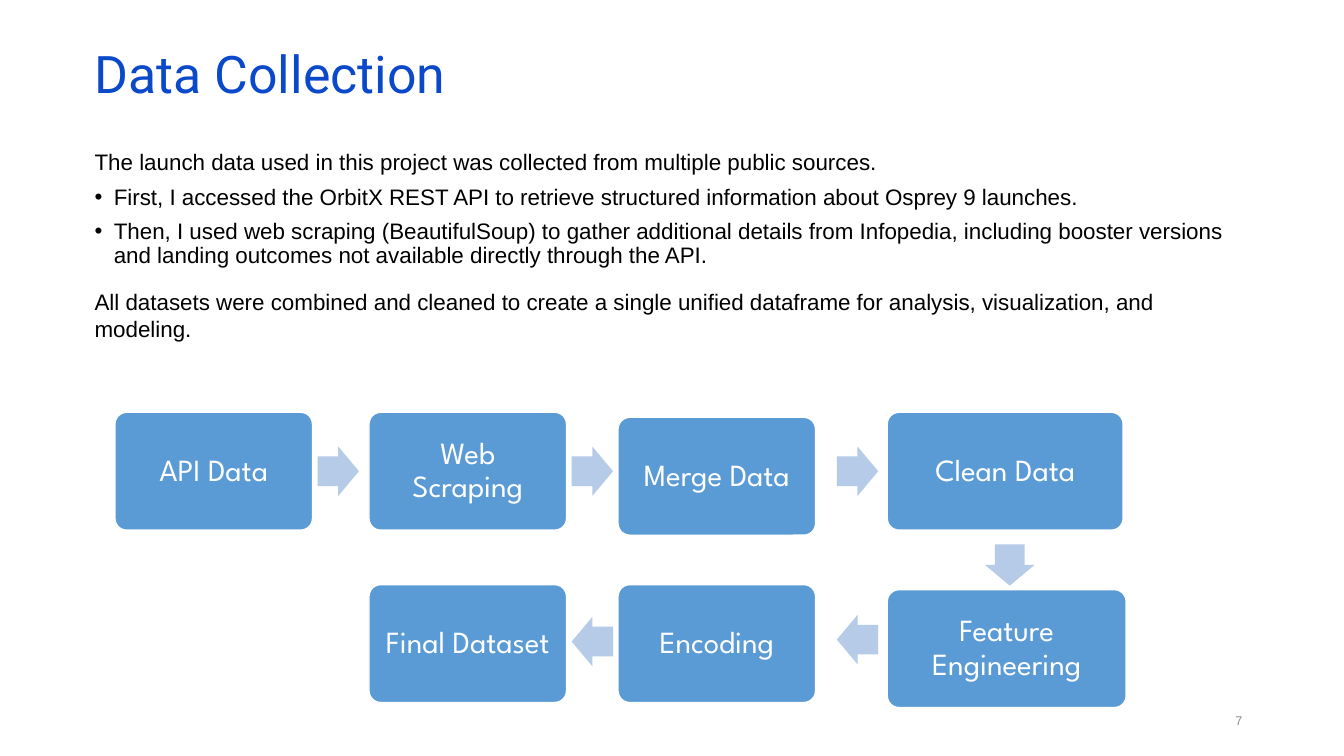
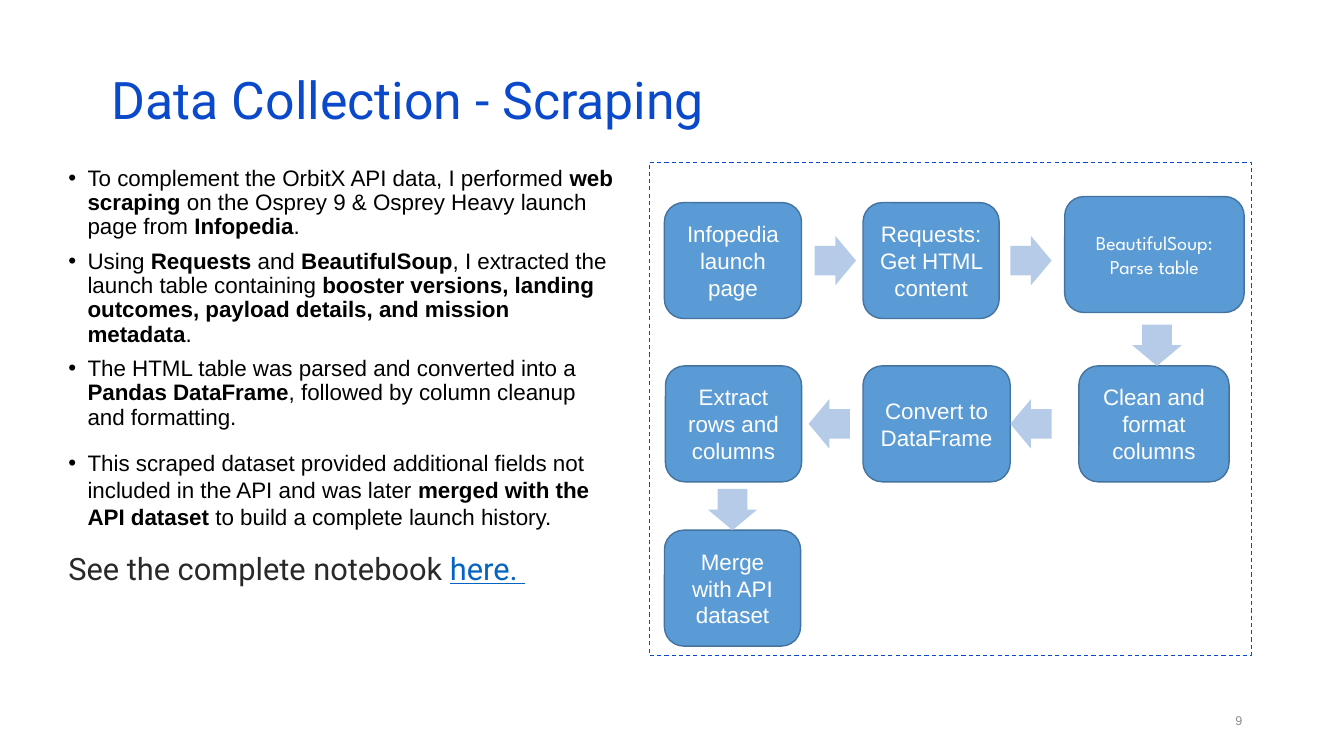
from dataclasses import dataclass
from typing import Any

from lxml.etree import SubElement
from pptx import Presentation
from pptx.dml.color import RGBColor
from pptx.enum.dml import MSO_LINE_DASH_STYLE as Dash
from pptx.enum.shapes import MSO_SHAPE as Shape
from pptx.enum.text import MSO_ANCHOR as Anchor, MSO_AUTO_SIZE as AutoSize, PP_ALIGN as Align
from pptx.oxml.ns import qn
from pptx.util import Inches, Pt

COLORS = {
    "title": "0B49CB",
    "body": "000000",
    "note": "292929",
    "link": "0563C1",
    "number": "8C8C8C",
    "box": "5B9BD5",
    "box_edge": "43739E",
    "arrow": "B5CBE7",
    "white": "FFFFFF",
}
RIGHT, DOWN, LEFT = 0, 90, 180
ARROW_WIDTH, ARROW_HEIGHT = 0.41, 0.49
BULLET_INDENT = 0.19


@dataclass(frozen=True)
class TextStyle:
    font: str
    size: float
    color: str


TITLE = TextStyle("Roboto", 37, "title")
BODY = TextStyle("Arial", 16, "body")
NOTE = TextStyle("Roboto", 22, "note")
LINK = TextStyle("Roboto", 22, "link")
NUMBER = TextStyle("Arial", 9, "number")
STEP = TextStyle("League Spartan", 22, "white")
SMALL_STEP = TextStyle("Arial", 16, "white")
LIBRARY_STEP = TextStyle("League Spartan", 14, "white")


@dataclass(frozen=True)
class BodyParagraph:
    """Body text in which ** switches bold on and off."""
    text: str
    bullet: bool = True
    line_spacing: float = 0.9
    space_before: float = 7.5
    style: TextStyle = BODY
    link: str = ""


@dataclass(frozen=True)
class Box:
    text: str
    left: float
    top: float
    width: float
    inset: float = 0.09
    style: TextStyle | None = None


@dataclass(frozen=True)
class Arrow:
    left: float
    top: float
    direction: int = RIGHT


@dataclass(frozen=True)
class BoxStyle:
    geometry: Any
    height: float
    edge: str
    text: TextStyle
    line_spacing: float
    corner: float | None = None


PIPELINE = BoxStyle(Shape.ROUNDED_RECTANGLE, 1.17, "white", STEP, 0.9, 0.1)
SCRAPING = BoxStyle(Shape.FLOWCHART_ALTERNATE_PROCESS, 1.15, "box_edge", SMALL_STEP, 1.0)


@dataclass(frozen=True)
class Page:
    number: int
    title: str
    title_at: tuple[float, float]
    body_at: tuple[float, float, float, float]
    body: list[BodyParagraph]
    box_style: BoxStyle
    boxes: list[Box]
    arrows: list[Arrow]
    frame: tuple[float, float, float, float] | None = None


PAGES = [
    Page(
        7, "Data Collection", (0.84, 0.5), (0.84, 1.45, 11.5, 2.4),
        [
            BodyParagraph("The launch data used in this project was collected from "
                          "multiple public sources.", bullet=False),
            BodyParagraph("First, I accessed the OrbitX REST API to retrieve structured "
                          "information about Osprey 9 launches."),
            BodyParagraph("Then, I used web scraping (BeautifulSoup) to gather additional "
                          "details from Infopedia, including booster versions and landing "
                          "outcomes not available directly through the API."),
            BodyParagraph("All datasets were combined and cleaned to create a single unified "
                          "dataframe for analysis, visualization, and modeling.",
                          bullet=False, line_spacing=1.0, space_before=14),
        ],
        PIPELINE,
        [
            Box("API Data", 1.14, 4.09, 1.96),
            Box("Web Scraping", 3.66, 4.09, 1.96),
            Box("Merge Data", 6.13, 4.14, 1.96),
            Box("Clean Data", 8.8, 4.09, 2.34, 0.19),
            Box("Feature Engineering", 8.8, 5.85, 2.37, 0.19),
            Box("Encoding", 6.13, 5.8, 1.96),
            Box("Final Dataset", 3.66, 5.8, 1.96),
        ],
        [
            Arrow(3.15, 4.43), Arrow(5.67, 4.43), Arrow(8.3, 4.43),
            Arrow(9.81, 5.36, DOWN),
            Arrow(8.3, 6.1, LEFT), Arrow(5.67, 6.12, LEFT),
        ],
    ),
    Page(
        9, "Data Collection - Scraping", (1.01, 0.76), (0.58, 1.61, 5.6, 4.51),
        [
            BodyParagraph("To complement the OrbitX API data, I performed **web scraping** on "
                          "the Osprey 9 & Osprey Heavy launch page from **Infopedia**."),
            BodyParagraph("Using **Requests** and **BeautifulSoup**, I extracted the launch "
                          "table containing **booster versions, landing outcomes, payload "
                          "details, and mission metadata**."),
            BodyParagraph("The HTML table was parsed and converted into a **Pandas "
                          "DataFrame**, followed by column cleanup and formatting."),
            BodyParagraph("This scraped dataset provided additional fields not included in the "
                          "API and was later **merged with the API dataset** to build a "
                          "complete launch history.", line_spacing=1.0, space_before=14),
            BodyParagraph("See the complete notebook ", bullet=False, line_spacing=1.0,
                          space_before=14, style=NOTE, link="here. "),
        ],
        SCRAPING,
        [
            Box("Infopedia launch page", 6.59, 2.01, 1.36, 0.1),
            Box("Requests: Get HTML content", 8.56, 2.01, 1.35, 0.1),
            Box("BeautifulSoup: Parse table", 10.56, 1.95, 1.78, 0.1, LIBRARY_STEP),
            Box("Clean and format columns", 10.7, 3.63, 1.49, 0.1),
            Box("Convert to DataFrame", 8.56, 3.63, 1.46, 0.1),
            Box("Extract rows and columns", 6.6, 3.63, 1.35, 0.1),
            Box("Merge with API dataset", 6.59, 5.26, 1.35, 0.1),
        ],
        [
            Arrow(8.08, 2.34), Arrow(10.02, 2.34),
            Arrow(11.27, 3.18, DOWN),
            Arrow(10.02, 3.96, LEFT), Arrow(8.02, 3.96, LEFT),
            Arrow(7.06, 4.81, DOWN),
        ],
        (6.44, 1.61, 5.97, 4.89),
    ),
]


def color(name: str) -> RGBColor:
    return RGBColor.from_string(COLORS[name])


def inches(*lengths: float) -> list[int]:
    return [Inches(length) for length in lengths]


def set_format(target: Any, **values: Any) -> None:
    for name, value in values.items():
        setattr(target, name, value)


def add_run(paragraph: Any, text: str, style: TextStyle, **extra: Any) -> None:
    run = paragraph.add_run()
    run.text = text
    set_format(run.font, name=style.font, size=Pt(style.size), **extra)
    run.font.color.rgb = color(style.color)


def add_bullet(paragraph: Any) -> None:
    properties = paragraph._p.get_or_add_pPr()
    properties.set("marL", str(Inches(BULLET_INDENT)))
    properties.set("indent", str(-Inches(BULLET_INDENT)))
    SubElement(properties, qn("a:buFont"), typeface="Arial")
    SubElement(properties, qn("a:buChar"), char="•")


def add_title(slide: Any, page: Page) -> None:
    title = slide.shapes.title
    left, top, width, height = inches(*page.title_at, 11.5, 0.6)
    set_format(title, left=left, top=top, width=width, height=height)
    set_format(title.text_frame, vertical_anchor=Anchor.MIDDLE, word_wrap=True,
               auto_size=AutoSize.NONE)
    paragraph = title.text_frame.paragraphs[0]
    set_format(paragraph, alignment=Align.LEFT, line_spacing=0.7)
    add_run(paragraph, page.title, TITLE)


def add_page_number(slide: Any, number: int) -> None:
    frame = slide.shapes.add_textbox(*inches(9.42, 6.95, 3, 0.4)).text_frame
    set_format(frame, vertical_anchor=Anchor.MIDDLE, word_wrap=True)
    paragraph = frame.paragraphs[0]
    paragraph.alignment = Align.RIGHT
    add_run(paragraph, str(number), NUMBER)


def add_body(slide: Any, page: Page) -> None:
    frame = slide.shapes.add_textbox(*inches(*page.body_at)).text_frame
    frame.word_wrap = True
    for index, item in enumerate(page.body):
        paragraph = frame.add_paragraph() if index else frame.paragraphs[0]
        if item.bullet:
            add_bullet(paragraph)
        set_format(paragraph, alignment=Align.LEFT, line_spacing=item.line_spacing,
                   space_before=Pt(item.space_before if index else 0))
        for part, text in enumerate(item.text.split("**")):
            add_run(paragraph, text, item.style, bold=part % 2 == 1)
        if item.link:
            add_run(paragraph, item.link, LINK, underline=True)


def add_filled_shape(slide: Any, geometry: Any, at: list[int], fill: str) -> Any:
    shape = slide.shapes.add_shape(geometry, *at)
    shape.shadow.inherit = False
    shape.fill.solid()
    shape.fill.fore_color.rgb = color(fill)
    return shape


def add_box(slide: Any, box: Box, style: BoxStyle) -> None:
    at = inches(box.left, box.top, box.width, style.height)
    shape = add_filled_shape(slide, style.geometry, at, "box")
    if style.corner is not None:
        shape.adjustments[0] = style.corner
    shape.line.color.rgb = color(style.edge)
    shape.line.width = Pt(1)
    side = Inches(box.inset)
    edge = Inches(min(box.inset, 0.05)) if style is SCRAPING else side
    set_format(shape.text_frame, word_wrap=True, vertical_anchor=Anchor.MIDDLE,
               margin_left=side, margin_right=side, margin_top=edge, margin_bottom=edge)
    paragraph = shape.text_frame.paragraphs[0]
    set_format(paragraph, alignment=Align.CENTER, line_spacing=style.line_spacing)
    add_run(paragraph, box.text, box.style or style.text)


def add_arrow(slide: Any, arrow: Arrow) -> None:
    at = inches(arrow.left, arrow.top, ARROW_WIDTH, ARROW_HEIGHT)
    shape = add_filled_shape(slide, Shape.RIGHT_ARROW, at, "arrow")
    shape.adjustments[0], shape.adjustments[1] = 0.6, 0.5
    shape.rotation = arrow.direction
    shape.line.fill.background()


def add_frame(slide: Any, at: tuple[float, float, float, float]) -> None:
    frame = slide.shapes.add_shape(Shape.RECTANGLE, *inches(*at))
    frame.shadow.inherit = False
    frame.fill.background()
    frame.line.color.rgb = color("title")
    set_format(frame.line, width=Pt(0.75), dash_style=Dash.DASH)


def main() -> None:
    presentation = Presentation()
    set_format(presentation, slide_width=Inches(13.33), slide_height=Inches(7.5))
    title_only = presentation.slide_layouts[5]
    for page in PAGES:
        slide = presentation.slides.add_slide(title_only)
        add_title(slide, page)
        add_page_number(slide, page.number)
        add_body(slide, page)
        if page.frame:
            add_frame(slide, page.frame)
        for box in page.boxes:
            add_box(slide, box, page.box_style)
        for arrow in page.arrows:
            add_arrow(slide, arrow)
    presentation.save("out.pptx")


if __name__ == "__main__":
    main()
